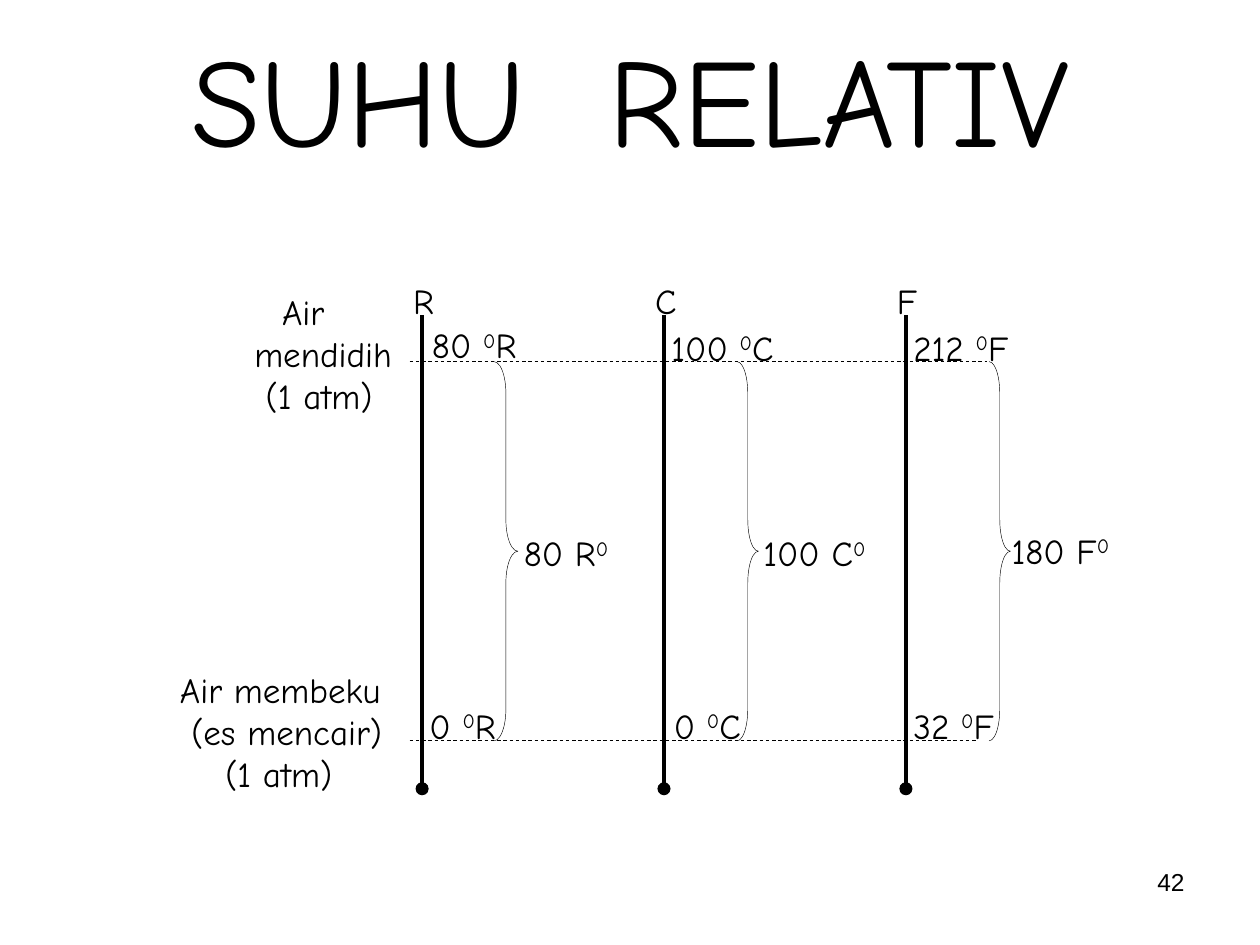
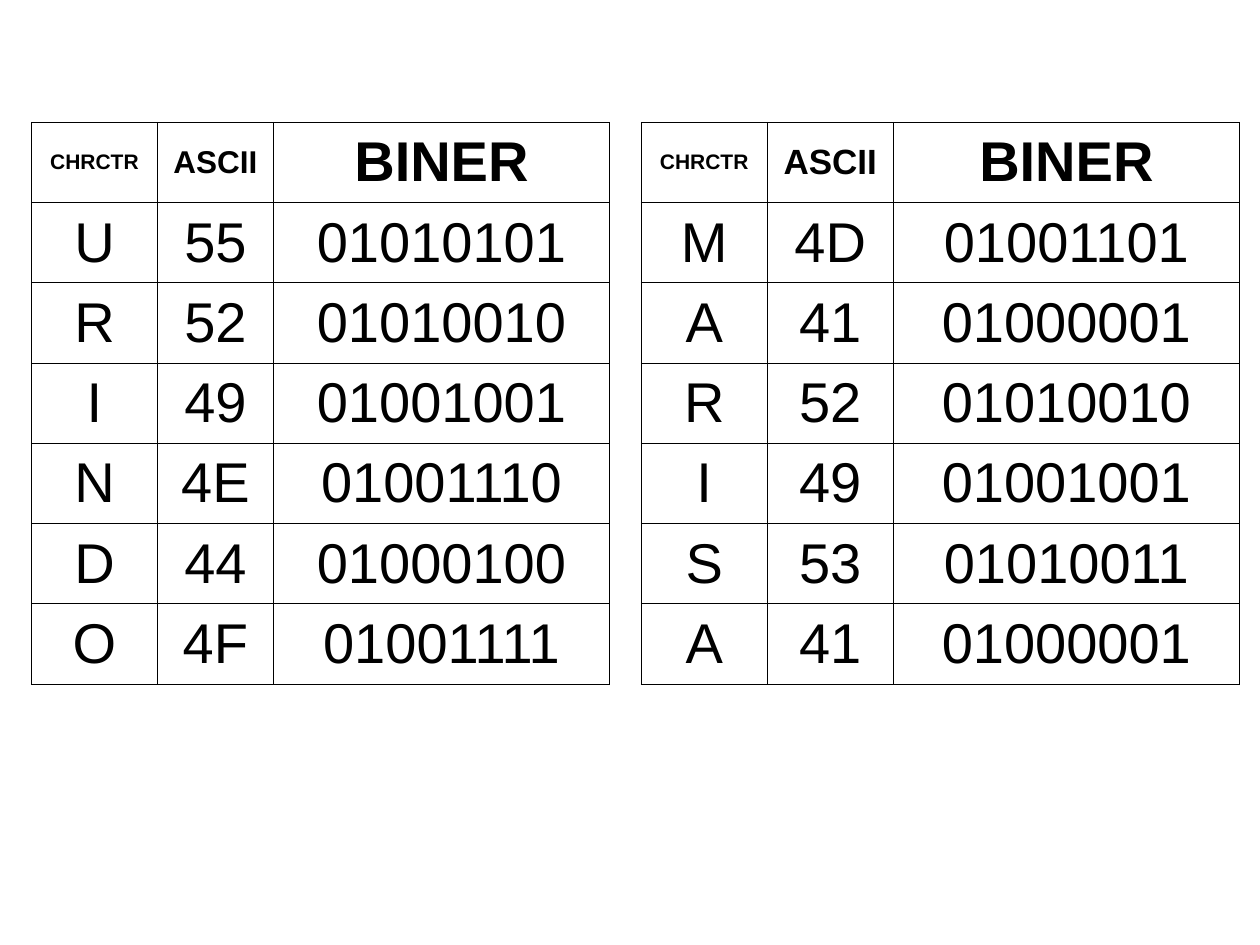
from dataclasses import dataclass

from lxml.etree import SubElement
from pptx import Presentation
from pptx.dml.color import RGBColor
from pptx.enum.dml import MSO_LINE
from pptx.enum.shapes import MSO_CONNECTOR, MSO_SHAPE
from pptx.enum.text import MSO_ANCHOR as ANCHOR, PP_ALIGN as ALIGN
from pptx.oxml import parse_xml
from pptx.oxml.ns import nsdecls, qn
from pptx.util import Inches, Pt


@dataclass(frozen=True)
class Theme:
    """Colours, fonts and type sizes shared by the slides."""
    ink: RGBColor = RGBColor(0, 0, 0)
    hand_font: str = "Comic Neue"
    plain_font: str = "Arial"
    title_size: int = 72
    label_size: int = 20
    page_size: int = 14
    cell_size: int = 32


@dataclass(frozen=True)
class Scale:
    """One thermometer scale: its texts and their offsets from the axis."""
    letter: str
    boiling: str
    freezing: str
    span: str
    boiling_at: tuple
    freezing_dx: float
    span_at: tuple
    brace_dx: float
    brace_width: float


THEME = Theme()

SCALES = [
    Scale("R", "80 ^0^R", "0 ^0^R", "80 R^0", (-0.02, 0.35), -0.04, (0.71, 2.0), 0.57, 0.19),
    Scale("C", "100 ^0^C", "0 ^0^C", "100 C^0", (-0.04, 0.37), -0.02, (0.69, 2.0), 0.58, 0.17),
    Scale("F", "212 ^0^F", "32 ^0^F", "180 F^0", (-0.04, 0.37), -0.04, (0.74, 1.98), 0.66, 0.17),
]

BOILING_NOTE = [("Air", 0.22), ("mendidih", 0), ("(1 atm)", 0.09)]
FREEZING_NOTE = [("Air membeku", 0), ("(es mencair)", 0.09), ("(1 atm)", 0.36)]

HEADINGS = ["CHRCTR", "ASCII", "BINER"]
HEADING_SIZES = [12, 18, 32, None, 12, 20, 32]
WORDS = ("URINDO", "MARISA")
COLUMN_WIDTHS = [1, 0.92, 2.67, 0.25, 1, 1, 2.75]
GAP_COLUMN = 3


def write(paragraph, text, font=THEME.hand_font, size=THEME.label_size, bold=False,
          align=ALIGN.LEFT, indent=0):
    """Fill a paragraph; text between carets is raised."""
    paragraph.alignment = align
    if indent:
        properties = paragraph._p.get_or_add_pPr()
        properties.set("marL", str(Inches(indent)))
        properties.set("indent", "0")
    for index, piece in enumerate(text.split("^")):
        if not piece:
            continue
        run = paragraph.add_run()
        run.text = piece
        run.font.name = font
        run.font.size = Pt(size)
        run.font.bold = bold
        run.font.color.rgb = THEME.ink
        if index % 2:
            run.font._element.set("baseline", "30000")


def add_label(slide, box, lines, **text_format):
    """Add a text box holding (text, indent) lines."""
    frame = slide.shapes.add_textbox(*map(Inches, box)).text_frame
    frame.word_wrap = True
    for index, (text, indent) in enumerate(lines):
        paragraph = frame.add_paragraph() if index else frame.paragraphs[0]
        write(paragraph, text, indent=indent, **text_format)


def add_line(slide, start, end, width, dash=None, oval_end=False):
    """Draw a straight line, optionally dashed or ending in a dot."""
    connector = slide.shapes.add_connector(MSO_CONNECTOR.STRAIGHT, *map(Inches, start + end))
    connector.line.color.rgb = THEME.ink
    connector.line.width = Pt(width)
    if dash:
        connector.line.dash_style = dash
    properties = connector._element.spPr
    if oval_end:
        SubElement(properties.find(qn("a:ln")), qn("a:tailEnd"), type="oval")
    SubElement(properties, qn("a:effectLst"))


def add_brace(slide, left, top, width, height):
    """Draw a right brace whose curls are a twelfth of its height."""
    brace = slide.shapes.add_shape(MSO_SHAPE.RIGHT_BRACE, *map(Inches, (left, top, width, height)))
    brace.adjustments[0] = height / 12 / width
    brace.shadow.inherit = False
    brace.fill.background()
    brace.line.color.rgb = THEME.ink
    brace.line.width = Pt(0.25)


def format_title(slide, box):
    """Place and write the slide title with one wide word space."""
    title = slide.shapes.title
    title.left, title.top, title.width, title.height = map(Inches, box)
    frame = title.text_frame
    frame.word_wrap = True
    frame.vertical_anchor = ANCHOR.TOP
    paragraph = frame.paragraphs[0]
    for text in ("SUHU", " ", "RELATIV"):
        write(paragraph, text, size=THEME.title_size, align=ALIGN.CENTER)
    paragraph.runs[1].font._element.set("spc", "2300")


def add_scale(slide, scale, axis, top, boiling, freezing):
    """Draw one scale with its readings and brace around its axis."""
    add_line(slide, (axis, top + 0.33), (axis, top + 4.09), 2.5, oval_end=True)
    boiling_dx, boiling_dy = scale.boiling_at
    span_dx, span_dy = scale.span_at
    for text, dx, dy, width in (
        (scale.letter, -0.17, 0, 0.42),
        (scale.boiling, boiling_dx, boiling_dy, 1.08),
        (scale.freezing, scale.freezing_dx, 3.37, 1.02),
        (scale.span, span_dx, span_dy, 1.16),
    ):
        add_label(slide, (axis + dx, top + dy, width, 0.4), [(text, 0)])
    add_brace(slide, axis + scale.brace_dx, boiling, scale.brace_width, freezing - boiling)


def add_scale_diagram(slide, left, top):
    """Draw the three scales, their two fixed points and the notes."""
    boiling, freezing = top + 0.7, top + 3.71
    for level, length in ((boiling, 4.58), (freezing, 4.5)):
        start = left + 1.92
        add_line(slide, (start, level), (start + length, level), 0.5, MSO_LINE.DASH)
    add_label(slide, (left + 0.59, top + 0.09, 1.5, 1.17), BOILING_NOTE)
    add_label(slide, (left, top + 3.09, 2.08, 1.07), FREEZING_NOTE)
    for index, scale in enumerate(SCALES):
        add_scale(slide, scale, left + 2.02 + 1.92 * index, top, boiling, freezing)


def set_borders(cell, sides):
    """Rule the named sides of a cell and clear the others."""
    properties = cell._tc.get_or_add_tcPr()
    solid = f'<a:solidFill><a:srgbClr val="{str(THEME.ink)}"/></a:solidFill>'
    for index, side in enumerate("LRTB"):
        fill = solid if side in sides else "<a:noFill/>"
        properties.insert(index, parse_xml(
            f'<a:ln{side} {nsdecls("a")} w="{int(Pt(0.45))}">{fill}</a:ln{side}>'))


def character_row(character):
    """Return a character with its hexadecimal and binary codes."""
    return [character, f"{ord(character):02X}", f"{ord(character):08b}"]


def add_code_table(slide, left, top, height):
    """Draw both words as character codes in one table with a gap column."""
    rows = [HEADINGS + [""] + HEADINGS]
    rows += [character_row(first) + [""] + character_row(second) for first, second in zip(*WORDS)]
    box = map(Inches, (left, top, sum(COLUMN_WIDTHS), height))
    table = slide.shapes.add_table(len(rows), len(COLUMN_WIDTHS), *box).table
    table.first_row = table.horz_banding = False
    for column, width in zip(table.columns, COLUMN_WIDTHS):
        column.width = Inches(width)
    for row_index, row in enumerate(rows):
        heading = row_index == 0
        for column_index, text in enumerate(row):
            cell = table.cell(row_index, column_index)
            cell.fill.background()
            cell.vertical_anchor = ANCHOR.MIDDLE
            set_borders(cell, "LR" if column_index == GAP_COLUMN else "LRTB")
            if text:
                size = HEADING_SIZES[column_index] if heading else THEME.cell_size
                write(cell.text_frame.paragraphs[0], text, font=THEME.plain_font,
                      size=size, bold=heading, align=ALIGN.CENTER)
    table.cell(0, GAP_COLUMN).merge(table.cell(len(rows) - 1, GAP_COLUMN))


def build_temperature_slide(presentation):
    """Build the slide comparing the temperature scales."""
    slide = presentation.slides.add_slide(presentation.slide_layouts[5])
    format_title(slide, (0, 0.12, 10, 1.3))
    add_scale_diagram(slide, 1.33, 2.17)
    add_label(slide, (7.17, 6.83, 2.33, 0.52), [("42", 0)], font=THEME.plain_font,
              size=THEME.page_size, align=ALIGN.RIGHT)


def build_code_slide(presentation):
    """Build the slide with the character codes."""
    slide = presentation.slides.add_slide(presentation.slide_layouts[6])
    add_code_table(slide, 0.25, 0.97, 4.46)


def main():
    """Build and save the presentation."""
    presentation = Presentation()
    presentation.slide_width = Inches(10)
    presentation.slide_height = Inches(7.5)
    build_temperature_slide(presentation)
    build_code_slide(presentation)
    presentation.save("out.pptx")


if __name__ == "__main__":
    main()
